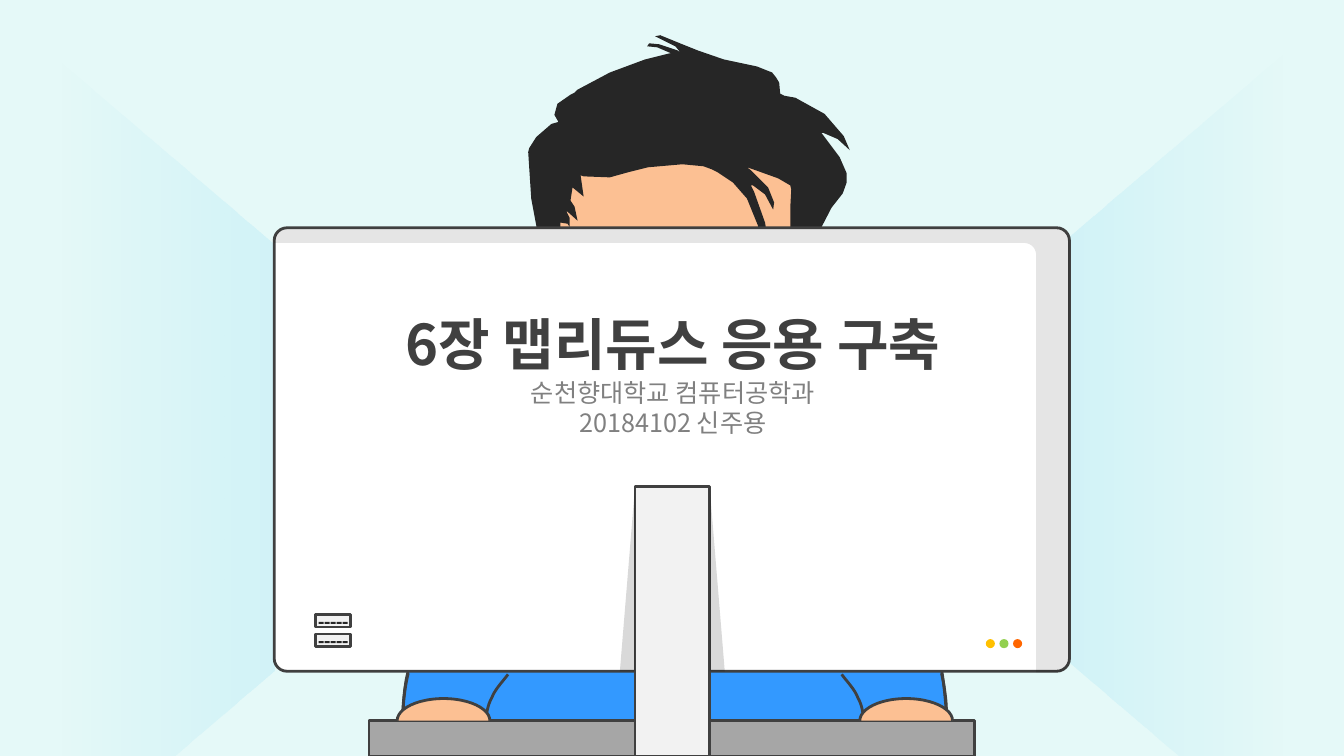
from lxml.etree import SubElement
from pptx import Presentation
from pptx.dml.color import RGBColor
from pptx.enum.shapes import MSO_SHAPE
from pptx.enum.text import MSO_ANCHOR, MSO_AUTO_SIZE, PP_ALIGN
from pptx.oxml.ns import qn
from pptx.util import Emu, Pt

PX = 9144
FONT = "Noto Sans CJK KR"
OUTLINE = "404040"
DARK = "262626"
PALE = "F2F2F2"
SKIN = "FCC093"

SHIRT = [
    (15, 130), (19, 117, 16, 74, 29, 53), (43, 32, 66, 13, 93, 5),
    (120, -4, 136, 2, 189, 2), (242, 2, 355, 2, 411, 5),
    (467, 8, 502, 12, 525, 20), (548, 28, 544, 34, 549, 51),
    (554, 69, 558, 112, 557, 126), (555, 140, 543, 133, 537, 136),
    (532, 138, 533, 142, 524, 142), (514, 143, 481, 140, 481, 140),
    (249, 141), (175, 140, 116, 137, 71, 134), (26, 131, 12, 137, 3, 136),
    (-7, 135, 10, 144, 15, 130)]
FOREHEAD = [
    (20, 151), (19, 171, 7, 234, 23, 257), (39, 279, 88, 281, 118, 284),
    (148, 288, 180, 284, 202, 276), (225, 268, 240, 251, 252, 239),
    (265, 226, 272, 218, 277, 203), (283, 187, 289, 162, 286, 146),
    (283, 130, 282, 116, 259, 107), (236, 98, 180, 90, 147, 91),
    (114, 93, 78, 109, 59, 116), (40, 124, 39, 130, 33, 136),
    (26, 142, 22, 131, 20, 151)]
HAIR = [
    (26, 262), (23, 257), (16, 237), (10, 202), (9, 194), (3, 162), (0, 116),
    (1, 112), (8, 101), (23, 88), (30, 86), (26, 79), (29, 68), (42, 59),
    (46, 57), (49, 54), (81, 37), (116, 24), (140, 18), (142, 18), (128, 12),
    (118, 11), (120, 8), (130, 9), (148, 15), (151, 17), (146, 11), (126, 1),
    (131, 0), (153, 9), (168, 15), (194, 24), (227, 31), (242, 37), (246, 42),
    (249, 47), (250, 58), (254, 60), (265, 62), (294, 78), (313, 100),
    (319, 114), (307, 103), (293, 97), (291, 97), (294, 101), (309, 121),
    (316, 137), (316, 146), (312, 157), (301, 171), (286, 200), (279, 222),
    (277, 236), (272, 257), (268, 266), (266, 267), (263, 264), (260, 234),
    (260, 171), (261, 153), (260, 149), (248, 142), (223, 133), (217, 131),
    (221, 134), (238, 151), (244, 166), (243, 173), (235, 158), (223, 149),
    (221, 149), (224, 155), (235, 186), (237, 199), (234, 206), (232, 208),
    (228, 189), (217, 162), (203, 146), (188, 136), (182, 133), (174, 130),
    (153, 128), (119, 131), (99, 136), (81, 141), (55, 140), (52, 139),
    (55, 160), (44, 151), (42, 164), (46, 170), (49, 184), (39, 175),
    (38, 175), (41, 181), (41, 190), (39, 187), (33, 186), (32, 186),
    (32, 196), (32, 238), (30, 259)]
SLEEVES = [
    [(82, 46), (83, 38, 84, 31, 88, 24), (91, 16, 98, 9, 104, 1)],
    [(0, 46), (0, 38, 0, 31, 1, 23), (2, 15, 3, 8, 5, 0)]]


def paint(color, value, alpha=None):
    """Set a colour from a hex string, with an optional opacity in percent."""
    color.rgb = RGBColor.from_string(value)
    if alpha is not None:
        clr = next(color._xFill.iter(qn("a:srgbClr"))) if hasattr(color, "_xFill") else None
        SubElement(clr, qn("a:alpha"), val=str(alpha * 1000))


def style(sp, fill=None, line=None, alpha=None):
    """Give a shape its fill and outline and drop its shadow."""
    sp.shadow.inherit = False
    if fill:
        sp.fill.solid()
        sp.fill.fore_color.rgb = RGBColor.from_string(fill)
        if alpha is not None:
            clr = next(sp._element.spPr.iter(qn("a:srgbClr")))
            SubElement(clr, qn("a:alpha"), val=str(alpha * 1000))
    else:
        sp.fill.background()
    if line:
        paint(sp.line.color, line)
        sp.line.width = Pt(2)
    else:
        sp.line.fill.background()
    return sp


def preset(s, kind, x, y, w, h, fill=None, line=None, alpha=None):
    """Add a styled preset shape."""
    sp = s.shapes.add_shape(kind, *(Emu(v * PX) for v in (x, y, w, h)))
    return style(sp, fill, line, alpha)


def flatten(outline, steps=10):
    """Turn points and cubic curves into a list of points."""
    pts = [outline[0]]
    for seg in outline[1:]:
        if len(seg) == 2:
            pts.append(seg)
            continue
        ctrl = [pts[-1], seg[:2], seg[2:4], seg[4:]]
        for t in (i / steps for i in range(1, steps + 1)):
            weights = ((1 - t) ** 3, 3 * t * (1 - t) ** 2, 3 * t * t * (1 - t), t ** 3)
            pts.append(tuple(sum(k * c[a] for k, c in zip(weights, ctrl)) for a in (0, 1)))
    return pts


def outline_shape(s, x, y, outline, fill=None, line=None, alpha=None, side=1):
    """Add a freeform at an origin, mirrored when side is -1; unfilled ones stay open."""
    pts = [(round((x + side * px) * PX), round((y + py) * PX)) for px, py in flatten(outline)]
    fb = s.shapes.build_freeform(*pts[0])
    fb.add_line_segments(pts[1:], close=fill is not None)
    return style(fb.convert_to_shape(), fill, line, alpha)


def wall(s, x, y, w, h, rotation):
    """Draw a side wall that fades away from the monitor."""
    sp = preset(s, MSO_SHAPE.TRAPEZOID, x + (w - h) / 2, y + (h - w) / 2, h, w)
    sp.adjustments[0] = 0.857
    sp.rotation = rotation
    sp.fill.gradient()
    sp.fill.gradient_angle = 90
    for stop, alpha in zip(sp.fill.gradient_stops, (0, 9)):
        stop.color.rgb = RGBColor.from_string("00B0F0")
    for clr, alpha in zip(sp._element.spPr.iter(qn("a:srgbClr")), (0, 9)):
        SubElement(clr, qn("a:alpha"), val=str(alpha * 1000))


def head(s, x, y):
    """Draw the forehead and the hair."""
    outline_shape(s, x, y, FOREHEAD, SKIN)
    outline_shape(s, x, y, HAIR, DARK)


def port(s, x, y, w, h):
    """Draw a port with a row of five contacts."""
    preset(s, MSO_SHAPE.RECTANGLE, x, y, w, h, PALE, OUTLINE)
    for i in range(5):
        preset(s, MSO_SHAPE.RECTANGLE, x + 3 + 6 * i, y + 7, 5, 2, DARK)


def monitor(s, x, y, w, h):
    """Draw the back of the monitor with its shade, ports and lights."""
    sp = preset(s, MSO_SHAPE.ROUNDED_RECTANGLE, x, y, w, h, "FFFFFF", OUTLINE)
    sp.adjustments[0] = 0.029
    shade = [(13, 0), (w - 13, 0), (w - 6, 0, w, 6, w, 13), (w, h - 13),
             (w, h - 5, w - 6, h, w - 13, h), (w - 33, h), (w - 33, 27),
             (w - 33, 19, w - 38, 14, w - 46, 14), (0, 14), (0, 13), (0, 6, 6, 0, 13, 0)]
    outline_shape(s, x, y + 1, shade, "000000", alpha=10)
    for i in range(2):
        port(s, x + 41, y + 384 + 19 * i, 35, 12)
    for i, color in enumerate(("FFC000", "92D050", "FF6600")):
        preset(s, MSO_SHAPE.OVAL, x + 706 + 13.5 * i, y + 408, 9, 9, color)


def stand(s, x, y, w, h):
    """Draw the monitor stand and the shadows on both its sides."""
    preset(s, MSO_SHAPE.RECTANGLE, x, y, w, h, PALE, OUTLINE)
    for left, flip in ((x - 15, "1"), (x + w, "0")):
        sp = preset(s, MSO_SHAPE.RIGHT_TRIANGLE, left, y, 15, 183, "000000", alpha=15)
        sp._element.spPr.find(qn("a:xfrm")).set("flipH", flip)


def forearm(s, x, y, side):
    """Draw sleeve edges and a hand, mirrored when side is -1."""
    for edge in SLEEVES:
        outline_shape(s, x, y, edge, line=OUTLINE, side=side)
    sp = preset(s, MSO_SHAPE.LEFT_BRACKET, x + 40 * side - 11, y - 10, 22, 92, SKIN, OUTLINE)
    sp.adjustments[0] = 2.142
    sp.rotation = 90


def write(sp, x, y, w, h, lines, size, leading, color, bold):
    """Place a text shape and fill it with centred lines."""
    for name, v in {"left": x, "top": y, "width": w, "height": h}.items():
        setattr(sp, name, Emu(v * PX))
    tf = sp.text_frame
    frame = {"word_wrap": True, "auto_size": MSO_AUTO_SIZE.NONE,
             "vertical_anchor": MSO_ANCHOR.TOP, "margin_top": 0, "margin_bottom": 0}
    for name, v in frame.items():
        setattr(tf, name, v)
    for i, line in enumerate(lines):
        p = tf.add_paragraph() if i else tf.paragraphs[0]
        para = {"alignment": PP_ALIGN.CENTER, "line_spacing": Pt(leading),
                "space_before": Pt(0), "space_after": Pt(0)}
        for name, v in para.items():
            setattr(p, name, v)
        r = p.add_run()
        r.text = line
        for name, v in {"name": FONT, "size": Pt(size), "bold": bold}.items():
            setattr(r.font, name, v)
        paint(r.font.color, color)
        SubElement(r._r.get_or_add_rPr(), qn("a:ea"), typeface=FONT)


def heading(s, x, y, w):
    """Write the chapter title and the author lines."""
    write(s.shapes.title, x, y, w, 67, ["6장 맵리듀스 응용 구축"], 40, 48, OUTLINE, True)
    write(s.shapes.add_textbox(0, 0, 0, 0), x, y + 67, w, 60,
          ["순천향대학교 컴퓨터공학과", "20184102 신주용"], 18, 21.5, "808080", False)


def cover(prs):
    """Build the cover slide from back to front."""
    s = prs.slides.add_slide(prs.slide_layouts[5])
    s.background.fill.solid()
    paint(s.background.fill.fore_color, "E5F9F8")
    wall(s, 47, 50, 225, 808, 90)
    wall(s, 1061, 42, 225, 808, 270)
    outline_shape(s, 382, 598, SHIRT, "3399FF", OUTLINE)
    head(s, 524, 35)
    monitor(s, 272, 226, 789, 440)
    preset(s, MSO_SHAPE.RECTANGLE, 366, 715, 601, 35, "A6A6A6", OUTLINE)
    stand(s, 630, 483, 74, 267)
    forearm(s, 400, 668, 1)
    forearm(s, 939, 668, -1)
    s.shapes._spTree.append(s.shapes.title._element)
    heading(s, 334, 307, 667)


def main():
    """Create the presentation and save it."""
    prs = Presentation()
    prs.slide_width, prs.slide_height = Emu(12192000), Emu(750 * PX)
    cover(prs)
    prs.save("out.pptx")


if __name__ == "__main__":
    main()
